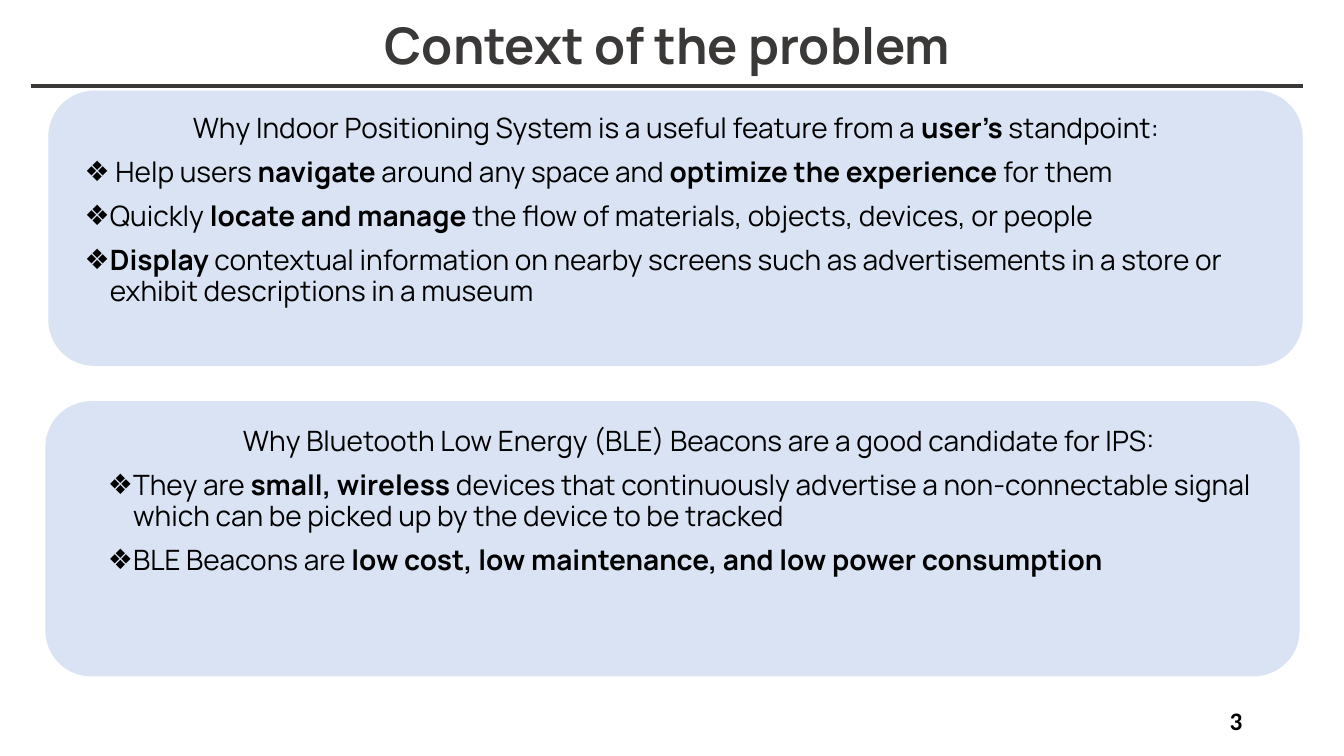
import dataclasses

import lxml.etree
import pptx
import pptx.dml.color
import pptx.enum.shapes
import pptx.enum.text
import pptx.oxml.ns
import pptx.util

ALIGN = pptx.enum.text.PP_ALIGN
ANCHOR = pptx.enum.text.MSO_ANCHOR
QN = pptx.oxml.ns.qn
WIDTH, HEIGHT = pptx.util.Inches(13.33), pptx.util.Inches(7.5)


@dataclasses.dataclass(frozen=True)
class Theme:
    """Colours, fonts and type sizes of the slide."""
    ink: str = "000000"
    heading: str = "3B3838"
    panel: str = "DAE3F3"
    font: str = "Manrope"
    number_font: str = "Calibri"
    title_size: int = 36
    body_size: int = 20
    number_size: int = 18


THEME = Theme()

USER_NEEDS = [
    "Why Indoor Positioning System is a useful feature from a **user’s **standpoint:",
    " Help users **navigate** around any space and **optimize the experience **for them",
    "Quickly **locate and manage **the flow of materials, objects, devices, or people",
    "**Display** contextual information on nearby screens such as advertisements "
    "in a store or exhibit descriptions in a museum",
]
BEACONS = [
    "Why Bluetooth Low Energy (BLE) Beacons are a good candidate for IPS:",
    "They are **small, wireless **devices that continuously advertise a "
    "non-connectable signal which can be picked up by the device to be tracked",
    "BLE Beacons are **low cost, low maintenance, and low power consumption**",
]


def rgb(code):
    """Return a colour from its hex code."""
    return pptx.dml.color.RGBColor.from_string(code)


def scale(box):
    """Turn left, top, width and height in percent of the slide into lengths."""
    return [round(share * side / 100) for share, side in zip(box, (WIDTH, HEIGHT) * 2)]


def place(sp, box):
    """Move a shape into a box."""
    sp.left, sp.top, sp.width, sp.height = scale(box)


def write(p, text, *, size, font=THEME.font, color=THEME.ink, bold=False, align=ALIGN.LEFT):
    """Fill a paragraph with text, where double asterisks toggle bold."""
    p.alignment = align
    for i, part in enumerate(text.split("**")):
        if part:
            r = p.add_run()
            r.text = part
            r.font.name, r.font.size = font, pptx.util.Pt(size)
            r.font.bold = bold or i % 2 == 1
            r.font.color.rgb = rgb(color)


def set_bullet(p, char=None, indent=0):
    """Give a paragraph a hanging bullet, or none."""
    pPr = p._p.get_or_add_pPr()
    pPr.set("marL", str(indent))
    pPr.set("indent", str(-indent))
    if char:
        lxml.etree.SubElement(pPr, QN("a:buFont")).set("typeface", "Arial")
        lxml.etree.SubElement(pPr, QN("a:buChar")).set("char", char)
    else:
        lxml.etree.SubElement(pPr, QN("a:buNone"))


def add_title(s, text, box):
    """Write the centred title into its placeholder."""
    sp = s.shapes.title
    place(sp, box)
    tf = sp.text_frame
    tf.auto_size = pptx.enum.text.MSO_AUTO_SIZE.NONE
    tf.vertical_anchor = ANCHOR.TOP
    write(tf.paragraphs[0], text, size=THEME.title_size, color=THEME.heading,
          bold=True, align=ALIGN.CENTER)


def add_rule(s, left, right, y):
    """Draw the line under the title."""
    x1, y1, x2, y2 = scale((left, y, right, y))
    line = s.shapes.add_connector(pptx.enum.shapes.MSO_CONNECTOR.STRAIGHT, x1, y1, x2, y2)
    line.line.color.rgb = rgb(THEME.heading)
    line.line.width = pptx.util.Pt(3)
    lxml.etree.SubElement(line._element.spPr, QN("a:effectLst"))


def add_panel(s, body, lines, box, inset):
    """Place a rounded panel with a heading and bullets from a body placeholder."""
    panel = s.shapes.add_shape(pptx.enum.shapes.MSO_SHAPE.ROUNDED_RECTANGLE, *scale(box))
    panel.shadow.inherit = False
    panel.fill.solid()
    panel.fill.fore_color.rgb = rgb(THEME.panel)
    panel.line.fill.background()
    s.shapes._spTree.insert(2, panel._element)

    place(body, (box[0] + inset[0], box[1] + inset[1], 89.5, 30.67))
    tf = body.text_frame
    tf.word_wrap = True
    tf.auto_size = pptx.enum.text.MSO_AUTO_SIZE.NONE
    tf.vertical_anchor = ANCHOR.TOP
    for i, text in enumerate(lines):
        p = tf.add_paragraph() if i else tf.paragraphs[0]
        write(p, text, size=THEME.body_size, align=ALIGN.LEFT if i else ALIGN.CENTER)
        p.line_spacing = 0.9
        p.space_before = pptx.util.Pt(10)
        p.space_after = pptx.util.Pt(0)
        if i:
            set_bullet(p, "❖", pptx.util.Inches(0.25))
        else:
            set_bullet(p)


def add_number(s, text, box):
    """Write the page number at the bottom right."""
    tf = s.shapes.add_textbox(*scale(box)).text_frame
    tf.word_wrap = True
    tf.vertical_anchor = ANCHOR.MIDDLE
    write(tf.paragraphs[0], text, size=THEME.number_size, font=THEME.number_font,
          bold=True, align=ALIGN.RIGHT)


def add_context_slide(prs):
    """Build the slide with a title and two stacked panels."""
    s = prs.slides.add_slide(prs.slide_layouts.get_by_name("Two Content"))
    add_title(s, "Context of the problem", (24.08, 1.2, 51.16, 9.47))
    add_rule(s, 2.33, 96.92, 11.33)
    add_panel(s, s.placeholders[1], USER_NEEDS, (3.6, 12, 93.32, 36.4), (1.95, 2.4))
    add_panel(s, s.placeholders[2], BEACONS, (3.38, 53.07, 93.32, 36.4), (3.9, 2.8))
    add_number(s, "3", (70.67, 92.67, 22.5, 5.33))


def main():
    """Create and save the presentation."""
    prs = pptx.Presentation()
    prs.slide_width, prs.slide_height = WIDTH, HEIGHT
    add_context_slide(prs)
    prs.save("out.pptx")


if __name__ == "__main__":
    main()
